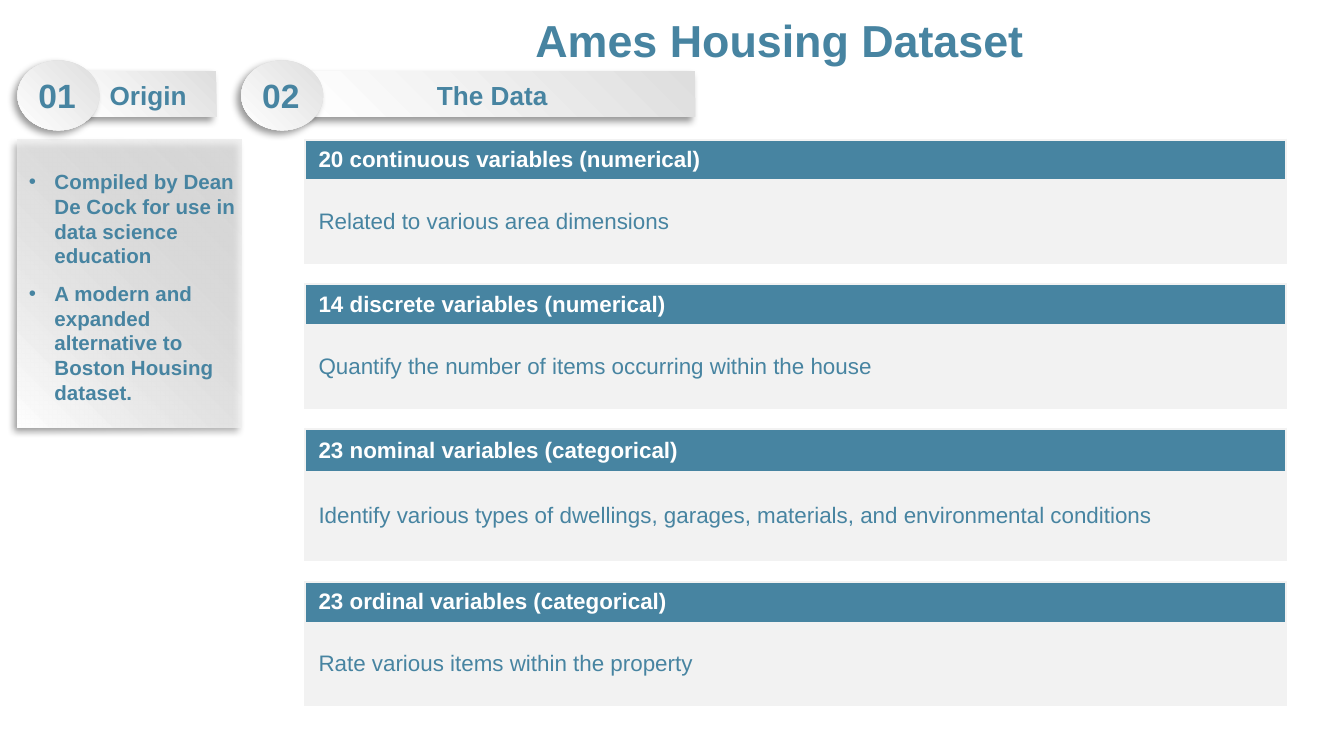
from lxml.etree import SubElement
from pptx import Presentation
from pptx.dml.color import RGBColor
from pptx.enum.shapes import MSO_SHAPE as Preset
from pptx.enum.text import MSO_ANCHOR as Anchor, MSO_AUTO_SIZE as AutoSize, PP_ALIGN as Align
from pptx.oxml import parse_xml
from pptx.oxml.ns import nsdecls, qn
from pptx.util import Pt

SCALE = 4572
TEAL, WHITE, SILVER, PALE = "4784A1", "FFFFFF", "DEDEDE", "F2F2F2"
VARIABLE_GROUPS = [
    ("20 continuous variables (numerical) ", "Related to various area dimensions", 59, 124),
    ("14 discrete variables (numerical) ",
     "Quantify the number of items occurring within the house", 59, 124),
    ("23 nominal variables (categorical) ",
     "Identify various types of dwellings, garages, materials, and environmental conditions",
     64, 132),
    ("23 ordinal variables (categorical) ", "Rate various items within the property", 59, 124),
]
ORIGIN_FACTS = [
    "Compiled by Dean De Cock for use in data science education",
    "A modern and expanded alternative to Boston Housing dataset.",
]


def px(*lengths):
    """Turn px lengths into a list of EMU lengths."""
    return [length * SCALE for length in lengths]


def color(code):
    """Turn a hex string into a colour."""
    return RGBColor.from_string(code)


def place(part, left, top, width, height):
    """Move and size a placeholder."""
    part.left, part.top, part.width, part.height = px(left, top, width, height)


def style(paragraph, size, code=TEAL, bold=True, align=Align.LEFT):
    """Format a paragraph and its runs."""
    paragraph.alignment = align
    for run in paragraph.runs:
        run.font.name = "Arial"
        run.font.size = Pt(size)
        run.font.bold = bold
        run.font.color.rgb = color(code)


def add_raised(slide, preset, left, top, width, height, opacity=100):
    """Add a silver gradient shape with a soft shadow."""
    raised = slide.shapes.add_shape(preset, *px(left, top, width, height))
    raised.line.fill.background()
    raised.fill.gradient()
    raised.fill.gradient_angle = 225
    for stop, code, position in zip(raised.fill.gradient_stops, (SILVER, WHITE), (0, 1)):
        stop.color.rgb = color(code)
        stop.position = position
    if opacity < 100:
        silver = next(raised.element.spPr.iter(qn("a:srgbClr")))
        SubElement(silver, qn("a:alpha"), val=str(opacity * 1000))
    raised.shadow.inherit = False
    raised.element.spPr.find(qn("a:effectLst")).append(parse_xml(
        f'<a:outerShdw {nsdecls("a")} blurRad="{Pt(4)}" dist="{Pt(3)}" dir="8100000"'
        ' algn="tr" rotWithShape="0"><a:srgbClr val="000000"><a:alpha val="40000"/>'
        '</a:srgbClr></a:outerShdw>'))
    return raised


def add_label(slide, text, size, left, top, width, height):
    """Add a centred bold label."""
    label = slide.shapes.add_textbox(*px(left, top, width, height)).text_frame
    label.word_wrap = True
    label.text = text
    style(label.paragraphs[0], size, align=Align.CENTER)


def add_heading(slide, left, top, number, name, bar_width, name_left):
    """Add a numbered section heading: bar, badge and name."""
    add_raised(slide, Preset.RECTANGLE, left + 94, top + 16, bar_width, 68)
    add_raised(slide, Preset.OVAL, left, top, 122, 104)
    add_label(slide, name, 14, left + name_left, top + 18, 520, 68)
    add_label(slide, number, 18, left - 2, top + 12, 122, 80)


def fill_title(slide, left, top, width, height):
    """Fill the title placeholder."""
    title = slide.shapes.title
    place(title, left, top, width, height)
    title.text_frame.text = "Ames Housing Dataset "
    title.text_frame.vertical_anchor = Anchor.MIDDLE
    title.text_frame.auto_size = AutoSize.NONE
    style(title.text_frame.paragraphs[0], 24, align=Align.CENTER)


def fill_origin(slide, left, top, width, height):
    """Fill the body placeholder with the origin facts on a raised panel."""
    panel = add_raised(slide, Preset.RECTANGLE, left, top, width, height, opacity=43)
    body = slide.placeholders[1]
    body.element.addprevious(panel.element)
    place(body, left - 3, top + 34, width + 18, height - 14)
    facts = body.text_frame
    facts.text = "\n".join(ORIGIN_FACTS)
    facts.auto_size = AutoSize.NONE
    for index, fact in enumerate(facts.paragraphs):
        style(fact, 11)
        fact.space_before = Pt(7 * index)
        properties = fact._p.get_or_add_pPr()
        indent = 38 * SCALE
        properties.set("marL", str(indent))
        properties.set("indent", str(-indent))
        SubElement(properties, qn("a:buFont"), typeface="Arial")
        SubElement(properties, qn("a:buChar"), char="•")


def fill_cell(cell, text, background, code, bold, align):
    """Fill and outline one table cell."""
    cell.text_frame.text = text
    cell.vertical_anchor = Anchor.MIDDLE
    cell.fill.solid()
    cell.fill.fore_color.rgb = color(background)
    style(cell.text_frame.paragraphs[0], 12, code, bold, align)
    for index, side in enumerate("LRTB"):
        cell._tc.tcPr.insert(index, parse_xml(
            f'<a:ln{side} {nsdecls("a")} w="{Pt(1)}"><a:solidFill>'
            f'<a:srgbClr val="{PALE}"/></a:solidFill></a:ln{side}>'))


def add_variable_group(slide, left, top, width, group):
    """Add the table of one variable group and return its height."""
    heading, meaning, *heights = group
    table = slide.shapes.add_table(2, 1, *px(left, top, width, sum(heights))).table
    table.horz_banding = False
    for row, height in zip(table.rows, heights):
        row.height = height * SCALE
    fill_cell(table.cell(0, 0), heading, TEAL, WHITE, True, Align.JUSTIFY)
    fill_cell(table.cell(1, 0), meaning, PALE, TEAL, False, Align.LEFT)
    return sum(heights)


def add_data(slide, left, top, width, gap):
    """Stack the variable groups with equal gaps."""
    for group in VARIABLE_GROUPS:
        top += add_variable_group(slide, left, top, width, group) + gap


def main():
    """Build and save the slide."""
    deck = Presentation()
    deck.slide_width, deck.slide_height = px(2000, 1125)
    slide = deck.slides.add_slide(deck.slide_layouts[1])
    fill_title(slide, 354, -4, 1630, 126)
    fill_origin(slide, 26, 208, 334, 428)
    add_heading(slide, 26, 90, "01", "Origin ", 202, -60)
    add_heading(slide, 359, 90, "02", "The Data ", 582, 119)
    add_data(slide, 454, 208, 1460, 32)
    deck.save("out.pptx")


if __name__ == "__main__":
    main()
